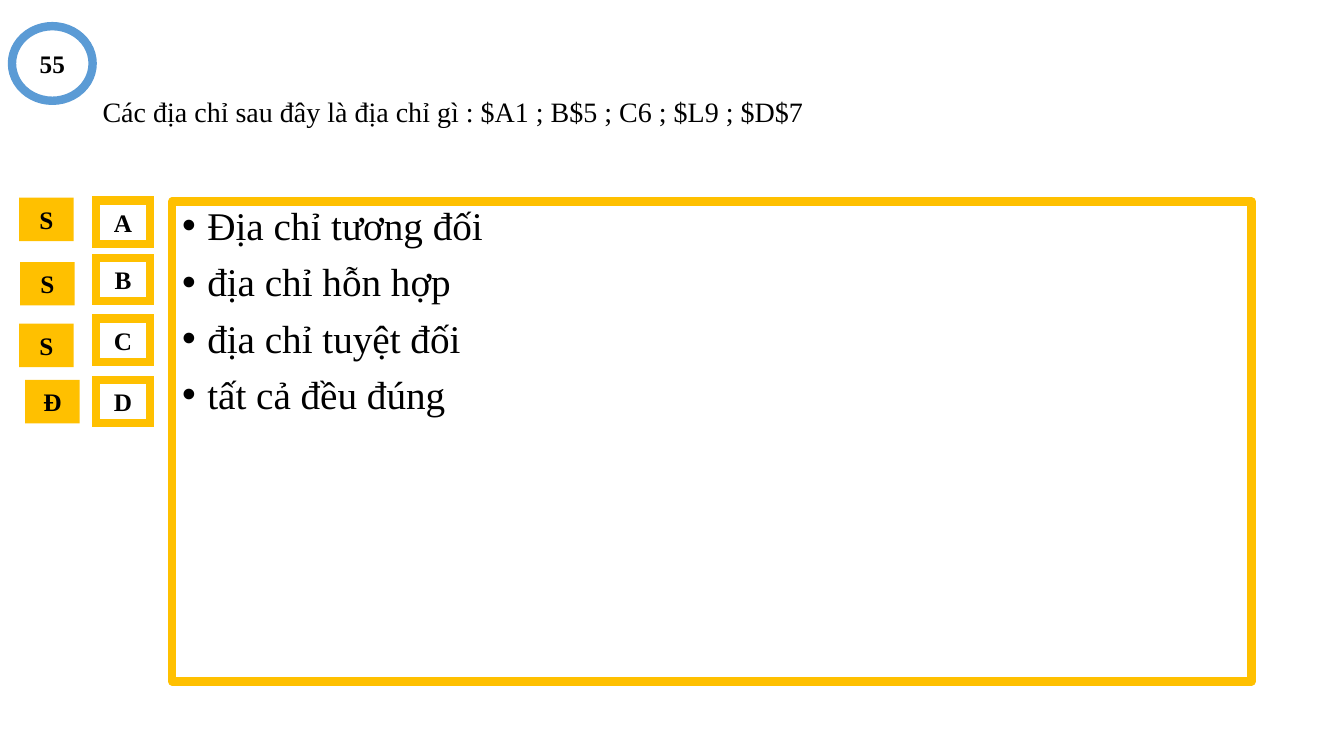
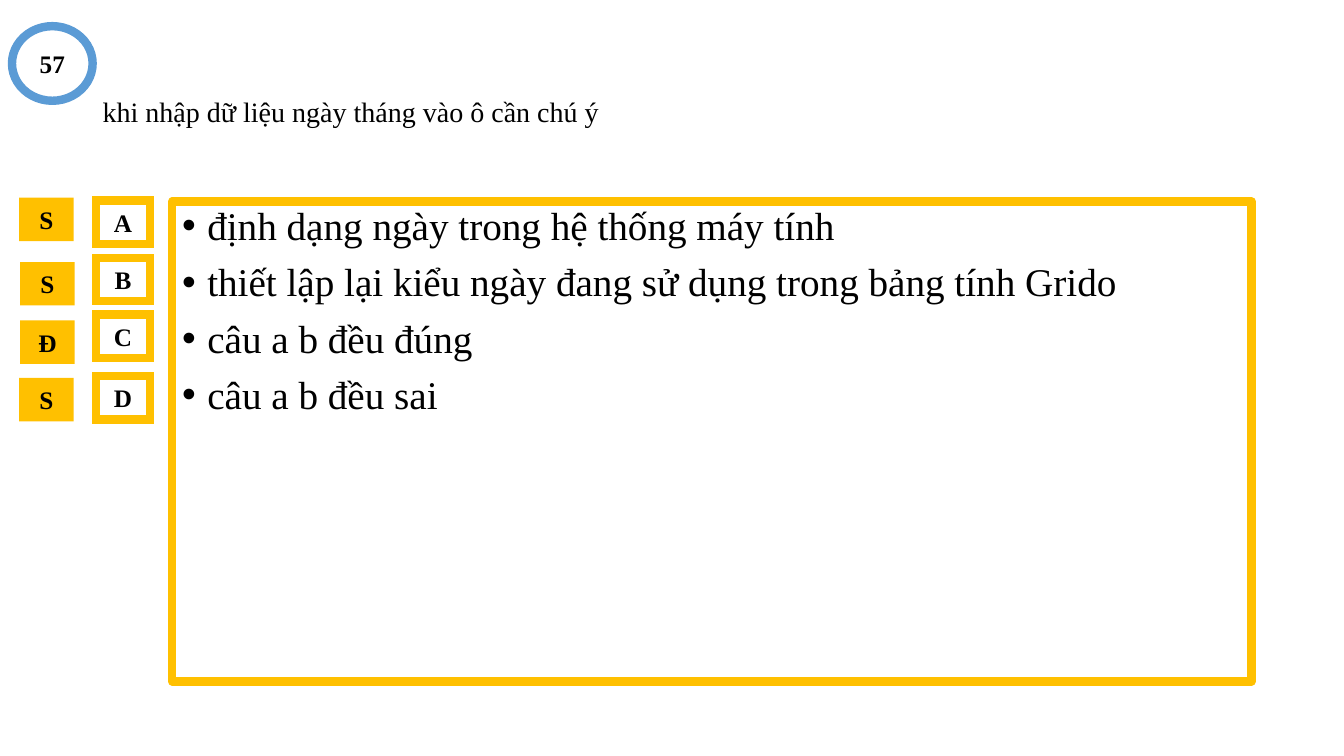
from lxml.etree import SubElement
from pptx import Presentation
from pptx.dml.color import RGBColor
from pptx.enum.shapes import MSO_SHAPE as Preset
from pptx.enum.text import MSO_ANCHOR as Anchor, PP_ALIGN as Align
from pptx.oxml.ns import qn
from pptx.util import Pt

COLORS = {"paper": "FFFFFF", "ink": "000000", "amber": "FFC000", "blue": "5B9BD5"}
FONT = "Times New Roman"
BORDER = 6
CELL_W, CELL_H = 39, 31

TITLE_BOX = (66.2, 28.8, 828, 104.4)
FRAME_BOX = (123, 144, 771, 342.7)
BADGE_BOX = (8.6, 18.7, 57.6, 53.3)
KEY_BOX = (13.7, 141.2, 93.6, 161)
LETTER_X = 54.7

QUESTIONS = [
    {
        "number": "55",
        "question": "Các địa chỉ sau đây là địa chỉ gì : $A1 ; B$5 ; C6 ; $L9 ; $D$7",
        "answers": ["Địa chỉ tương đối", "địa chỉ hỗn hợp",
                    "địa chỉ tuyệt đối", "tất cả đều đúng"],
        "verdicts": "SSSĐ",
        "letter_tops": [2.1, 43, 86.4, 130.2],
        "verdict_spots": [(0, 0), (0.7, 46), (0, 90), (4.3, 130.2)],
    },
    {
        "number": "57",
        "question": "khi nhập dữ liệu ngày tháng vào ô cần chú ý",
        "answers": ["định dạng ngày trong hệ thống máy tính",
                    "thiết lập lại kiểu ngày đang sử dụng trong bảng tính Grido",
                    "câu a b đều đúng", "câu a b đều sai"],
        "verdicts": "SSĐS",
        "letter_tops": [2.1, 43, 83.4, 127.4],
        "verdict_spots": [(0, 0), (0.7, 46), (0.7, 87.7), (0, 128.8)],
    },
]


def color(name):
    return RGBColor.from_string(COLORS[name])


def add_panel(slide, box, preset=Preset.RECTANGLE, fill="paper", opacity=100,
              border=None, join="miter"):
    panel = slide.shapes.add_shape(preset, *(Pt(value) for value in box))
    panel.shadow.inherit = False
    panel.fill.solid()
    panel.fill.fore_color.rgb = color(fill)
    if opacity < 100:
        tint = panel.fill._xPr.find(qn("a:solidFill"))[0]
        SubElement(tint, qn("a:alpha"), val=str(opacity * 1000))
    if border:
        panel.line.color.rgb = color(border)
        panel.line.width = Pt(BORDER)
        SubElement(panel.line._get_or_add_ln(), qn(f"a:{join}"))
    else:
        panel.line.fill.background()
    return panel


def write(panel, *lines, size=18, bold=False, align=Align.CENTER,
          anchor=Anchor.MIDDLE, spacing=None, before=None, bullet=None):
    frame = panel.text_frame
    frame.word_wrap = True
    frame.vertical_anchor = anchor
    for index, line in enumerate(lines):
        paragraph = frame.paragraphs[0] if index == 0 else frame.add_paragraph()
        paragraph.alignment = align
        if spacing:
            paragraph.line_spacing = spacing
        if before:
            paragraph.space_before = Pt(before)
        if bullet:
            properties = paragraph._p.get_or_add_pPr()
            properties.set("marL", str(Pt(18)))
            properties.set("indent", str(-Pt(18)))
            SubElement(properties, qn("a:buFont"), typeface="Arial")
            SubElement(properties, qn("a:buChar"), char=bullet)
        run = paragraph.add_run()
        run.text = line
        run.font.name = FONT
        run.font.size = Pt(size)
        run.font.bold = bold
        run.font.color.rgb = color("ink")


def add_question(slide, box, question):
    title = add_panel(slide, box, opacity=79)
    write(title, question, size=20, align=Align.LEFT, spacing=0.9)


def add_answers(slide, box, answers):
    frame = add_panel(slide, box, opacity=79, border="amber", join="round")
    write(frame, *answers, size=28, align=Align.LEFT, anchor=Anchor.TOP,
          spacing=0.9, before=10, bullet="•")


def add_badge(slide, box, number):
    badge = add_panel(slide, box, preset=Preset.OVAL, border="blue")
    write(badge, number, bold=True)


def add_key(slide, box, verdicts, letter_tops, verdict_spots):
    left, top = box[:2]
    rows = zip("ABCD", verdicts, letter_tops, verdict_spots)
    for letter, verdict, letter_top, (dx, dy) in rows:
        option = add_panel(slide, (left + LETTER_X, top + letter_top, CELL_W, CELL_H),
                           opacity=85, border="amber")
        write(option, letter, bold=True)
        mark = add_panel(slide, (left + dx, top + dy, CELL_W, CELL_H), fill="amber")
        write(mark, verdict, bold=True)


def add_quiz_slide(deck, quiz):
    slide = deck.slides.add_slide(deck.slide_layouts[6])
    add_question(slide, TITLE_BOX, quiz["question"])
    add_answers(slide, FRAME_BOX, quiz["answers"])
    add_badge(slide, BADGE_BOX, quiz["number"])
    add_key(slide, KEY_BOX, quiz["verdicts"], quiz["letter_tops"], quiz["verdict_spots"])


def main():
    deck = Presentation()
    deck.slide_width, deck.slide_height = Pt(960), Pt(540)
    for quiz in QUESTIONS:
        add_quiz_slide(deck, quiz)
    deck.save("out.pptx")


if __name__ == "__main__":
    main()
